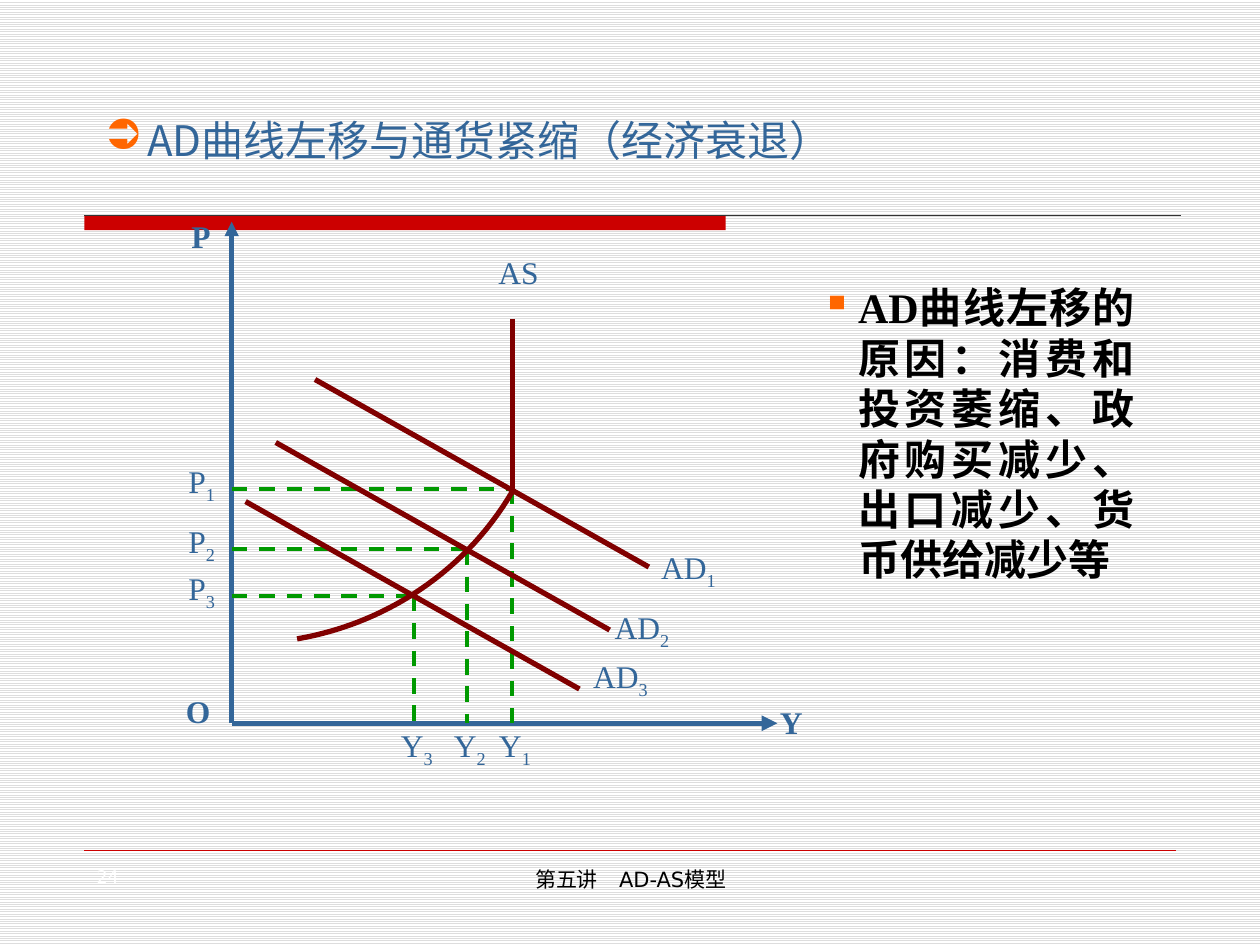
from lxml import etree
from pptx import Presentation, util as u
from pptx.dml.color import RGBColor
from pptx.enum import dml, shapes, text
from pptx.oxml.ns import qn

HUES = {"blue": "336699", "red": "CC0000", "wine": "800000", "green": "009900",
        "mark": "FF6600", "black": "000000", "rule": "333333",
        "pale": "DDDDDD", "white": "FFFFFF"}
SERIF, SANS, HAN = "Times New Roman", "DejaVu Sans", "Noto Sans CJK SC"
LABEL = {"name": SERIF, "size": u.Pt(18)}
SNUG = {"margin_left": u.Cm(0.05), "margin_right": u.Cm(0.05),
        "margin_top": u.Cm(0.03), "margin_bottom": u.Cm(0.03)}
FLUSH = dict.fromkeys(SNUG, 0)


def hue(name):
    """Return the named colour."""
    return RGBColor.from_string(HUES[name])


def apply(part, style):
    """Set each attribute in a style on a part."""
    for key, val in style.items():
        setattr(part, key, val)


def write(para, words, tint, style, sub=""):
    """Add a run, and a subscript run if one is given."""
    for piece, base in ((words, None), (sub, "-25000")):
        if piece:
            run = para.add_run()
            run.text = piece
            apply(run.font, style)
            run.font.color.rgb = hue(tint)
            props = run.font._element
            etree.SubElement(props, qn("a:ea"), typeface=HAN)
            if base:
                props.set("baseline", base)


def bullet(para, char, hang):
    """Give a paragraph an orange bullet with a hanging indent."""
    props = para._p.get_or_add_pPr()
    props.set("marL", str(u.Cm(hang)))
    props.set("indent", str(-u.Cm(hang)))
    tint = etree.SubElement(props, qn("a:buClr"))
    etree.SubElement(tint, qn("a:srgbClr"), val=HUES["mark"])
    etree.SubElement(props, qn("a:buChar"), char=char)


def label(slide, box, words, tint, style, frame=None, sub="",
          align=text.PP_ALIGN.JUSTIFY):
    """Add a wrapped text box and return its paragraph."""
    area = slide.shapes.add_textbox(*map(u.Cm, box)).text_frame
    apply(area, {"word_wrap": True, **(frame or {})})
    para = area.paragraphs[0]
    para.alignment = align
    write(para, words, tint, style, sub)
    return para


def stroke(slide, start, end, tint, width, dash=False, arrow=False):
    """Draw a straight line, dashed or with an arrowhead if asked."""
    line = slide.shapes.add_connector(
        shapes.MSO_CONNECTOR.STRAIGHT, *map(u.Cm, (*start, *end)))
    line.line.color.rgb = hue(tint)
    line.line.width = u.Pt(width)
    if dash:
        line.line.dash_style = dml.MSO_LINE.DASH
    if arrow:
        etree.SubElement(line.line._get_or_add_ln(), qn("a:tailEnd"), type="triangle")
    etree.SubElement(line._element.spPr, qn("a:effectLst"))


def frame(slide, left, top, wide, high):
    """Draw the background, the header bar and rule, and the footer."""
    fill = slide.background.fill
    fill.patterned()
    fill.pattern = dml.MSO_PATTERN.LIGHT_HORIZONTAL
    fill.fore_color.rgb, fill.back_color.rgb = hue("pale"), hue("white")
    bar = slide.shapes.add_shape(
        shapes.MSO_SHAPE.RECTANGLE, *map(u.Cm, (left, top, 12.93, 0.3)))
    bar.shadow.inherit = False
    bar.fill.solid()
    bar.fill.fore_color.rgb = hue("red")
    bar.line.fill.background()
    stroke(slide, (left, top), (left + wide, top), "rule", 0.75)
    base = top + high
    stroke(slide, (left, base), (left + 22, base), "red", 0.25)
    label(slide, (left, base + 0.2, 2, 1.32), "24", "white",
          {"name": SANS, "size": u.Pt(10)}, align=text.PP_ALIGN.LEFT)
    label(slide, (left + 6.99, base + 0.2, 8.05, 1.32), "第五讲　AD-AS模型", "black",
          {"name": SANS, "size": u.Pt(12)}, align=text.PP_ALIGN.CENTER)


def head(slide, *box):
    """Place and format the title."""
    title = slide.shapes.title
    apply(title, dict(zip(("left", "top", "width", "height"), map(u.Cm, box))))
    area = title.text_frame
    apply(area, {**FLUSH, "word_wrap": False,
                 "vertical_anchor": text.MSO_ANCHOR.MIDDLE})
    para = area.paragraphs[0]
    para.alignment = text.PP_ALIGN.LEFT
    write(para, "AD曲线左移与通货紧缩（经济衰退）", "blue",
          {"name": HAN, "size": u.Pt(24), "bold": False})
    bullet(para, "➲", 0.86)


def cause(slide, *box):
    """Write the bulleted explanation."""
    para = label(slide, box,
                 "AD曲线左移的原因：消费和投资萎缩、政府购买减少、出口减少、货币供给减少等",
                 "black", {"name": SERIF, "size": u.Pt(24), "bold": True})
    para.line_spacing = u.Pt(28.8)
    bullet(para, "▪", 0.74)


def bend(slide, ends, tint, width, steps=30):
    """Draw a cubic curve through its four control points."""
    dots = []
    for step in range(steps + 1):
        t = step / steps
        mix = ((1 - t) ** 3, 3 * t * (1 - t) ** 2, 3 * t * t * (1 - t), t ** 3)
        dots.append([u.Cm(sum(m * p[axis] for m, p in zip(mix, ends)))
                     for axis in (0, 1)])
    build = slide.shapes.build_freeform(*dots[0])
    build.add_line_segments(dots[1:], close=False)
    curve = build.convert_to_shape()
    curve.shadow.inherit = False
    curve.fill.background()
    curve.line.color.rgb = hue(tint)
    curve.line.width = u.Pt(width)


def graph(slide, left, top, wide, high):
    """Draw the AD-AS diagram with its axes on the box edges."""
    def at(x, y):
        """Return a point relative to the box."""
        return left + x, top + y

    def tag(x, y, words, sub="", bold=False):
        """Write a label relative to the box."""
        label(slide, (*at(x, y), 1.42, 1.19), words, "blue",
              {**LABEL, "bold": bold}, SNUG, sub)

    zero = at(0, high)
    stroke(slide, zero, at(0, 0), "blue", 2.75, arrow=True)
    stroke(slide, zero, at(wide, high), "blue", 3, arrow=True)
    for x, y, words in ((-0.86, -0.13, "P"), (-0.97, high - 0.66, "O"),
                        (wide, high - 0.43, "Y")):
        tag(x, y, words, bold=True)
    tag(5.33, 0.61, "AS")

    meets = ((5.66, 5.38), (4.75, 6.6), (3.68, 7.54))
    for sub, (x, y) in enumerate(meets, 1):
        stroke(slide, at(0, y), at(x, y), "green", 2.25, dash=True)
        stroke(slide, at(x, y), at(x, high), "green", 2.25, dash=True)
        tag(-0.92, y - 0.57, "P", str(sub))
        tag(x - 0.32, high + 0.03, "Y", str(sub))

    bend(slide, [at(*p) for p in ((1.32, 8.41), (3.12, 8.1), (4.72, 7.04), (5.66, 5.44))],
         "wine", 3)
    stroke(slide, at(5.66, 1.96), at(5.66, 5.38), "wine", 3)
    lines = ((1.68, 3.18, 8.61, 6.55), (0.89, 4.45, 7.67, 7.75), (0.28, 5.64, 7.24, 8.74))
    for sub, (x, y, tx, ty) in enumerate(lines, 1):
        stroke(slide, at(x, y), at(x + 6.73, y + 3.78), "wine", 3)
        tag(tx, ty, "AD", str(sub))


def main():
    """Build and save the slide."""
    deck = Presentation()
    apply(deck, {"slide_width": u.Cm(25.4), "slide_height": u.Cm(19.05)})
    slide = deck.slides.add_slide(deck.slide_layouts[5])
    frame(slide, 1.7, 4.34, 22.1, 12.8)
    head(slide, 2.11, 2.31, 15.19, 1.02)
    cause(slide, 16.31, 5.56, 6.81, 6.5)
    graph(slide, 4.67, 4.47, 11, 10.11)
    deck.save("out.pptx")


if __name__ == "__main__":
    main()
